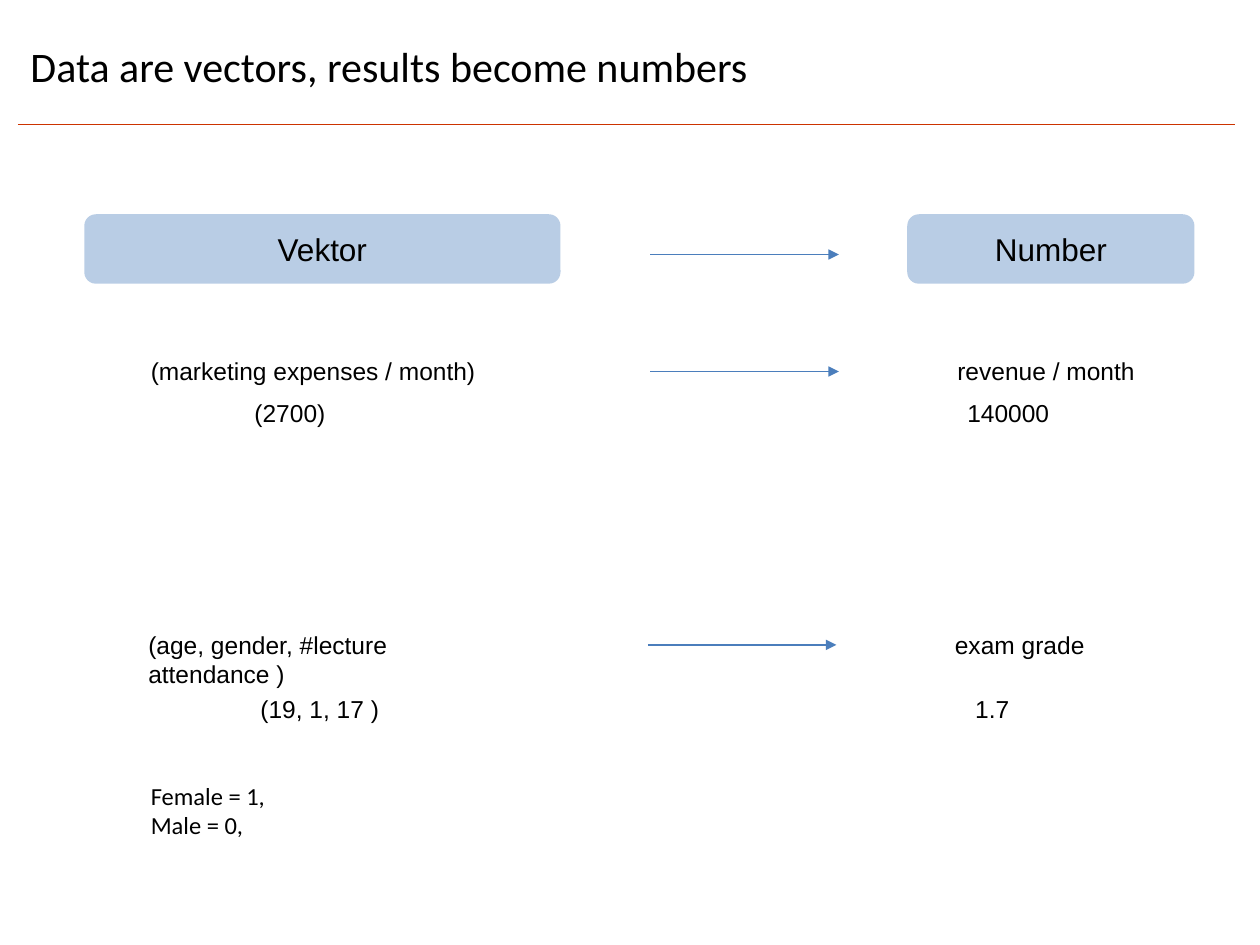
from lxml import etree
from pptx import Presentation
from pptx.dml.color import RGBColor
from pptx.enum.shapes import MSO_CONNECTOR, MSO_SHAPE
from pptx.enum.text import MSO_ANCHOR, PP_ALIGN
from pptx.oxml.ns import qn
from pptx.util import Cm, Pt

STRAIGHT = MSO_CONNECTOR.STRAIGHT
ROUNDED = MSO_SHAPE.ROUNDED_RECTANGLE
MIDDLE, TOP = MSO_ANCHOR.MIDDLE, MSO_ANCHOR.TOP
LEFT, CENTER = PP_ALIGN.LEFT, PP_ALIGN.CENTER

BLACK, RED, BLUE, PALE_BLUE = "000000", "CC3300", "4B7EBC", "B9CDE5"
ARROW_LENGTH = 3.8
LABEL_HEIGHT = 0.86


def color(value):
    return RGBColor.from_string(value)


def write(shape, lines, size, font="Arial", align=LEFT, anchor=TOP):
    frame = shape.text_frame
    frame.vertical_anchor = anchor
    frame.text = "\n".join(lines)
    font_format = {"name": font, "size": Pt(size), "bold": False}
    for paragraph in frame.paragraphs:
        paragraph.alignment = align
        for name, value in font_format.items():
            setattr(paragraph.font, name, value)
        paragraph.font.color.rgb = color(BLACK)


def add_line(slide, left, top, length, line_color, width, arrow=False):
    line = slide.shapes.add_connector(
        STRAIGHT, Cm(left), Cm(top), Cm(left + length), Cm(top))
    line.line.color.rgb = color(line_color)
    line.line.width = Pt(width)
    if arrow:
        etree.SubElement(line.line._get_or_add_ln(), qn("a:tailEnd"), type="triangle")
    etree.SubElement(line._element.spPr, qn("a:effectLst"))


def add_label(slide, left, top, width, lines, height=LABEL_HEIGHT, font="Arial"):
    label = slide.shapes.add_textbox(Cm(left), Cm(top), Cm(width), Cm(height))
    label.text_frame.word_wrap = False
    write(label, lines, 14, font)


def add_title(slide, left, top, width, height, text):
    title = slide.shapes.title
    box = {"left": left, "top": top, "width": width, "height": height}
    for name, value in box.items():
        setattr(title, name, Cm(value))
    write(title, [text], 24, "Calibri", anchor=MIDDLE)
    # Rule under the title
    add_line(slide, left, top + height, 24.53, RED, 1)


def add_header(slide, left, top, height):
    # Each entry: offset from the left, width, text
    for offset, width, text in ((0, 9.6, "Vektor"), (16.59, 5.79, "Number")):
        box = slide.shapes.add_shape(
            ROUNDED, Cm(left + offset), Cm(top), Cm(width), Cm(height))
        box.shadow.inherit = False
        box.fill.solid()
        box.fill.fore_color.rgb = color(PALE_BLUE)
        box.line.fill.background()
        write(box, [text], 18, align=CENTER, anchor=MIDDLE)
    add_line(slide, left + 11.41, top + 0.81, ARROW_LENGTH, BLUE, 0.75, arrow=True)


def add_example(slide, left, top, value_gap, labels, values):
    # Each entry: offset from the left, width, text
    for row_top, entries in ((top, labels), (top + value_gap, values)):
        for offset, width, text in entries:
            add_label(slide, left + offset, row_top, width, [text])
    add_line(slide, left + 10.32, top + 0.43, ARROW_LENGTH, BLUE, 0.75, arrow=True)


def main():
    presentation = Presentation()
    presentation.slide_width, presentation.slide_height = Cm(25.4), Cm(19.05)
    slide = presentation.slides.add_slide(presentation.slide_layouts[5])

    add_title(slide, 0.36, 0.15, 22.38, 2.36, "Data are vectors, results become numbers")
    add_header(slide, 1.7, 4.32, 1.4)

    # Marketing example
    add_example(
        slide, 2.79, 7.06, 0.84,
        [(0, 7.09, "(marketing expenses / month)"), (16.26, 4.09, "revenue / month")],
        [(2.09, 1.96, "(2700)"), (16.46, 3.35, "140000")])

    # Exam example
    add_example(
        slide, 2.74, 12.57, 1.3,
        [(0, 8.2, "(age, gender, #lecture attendance )"), (16.26, 3.12, "exam grade")],
        [(2.26, 2.92, "(19, 1, 17 )"), (16.67, 1.65, "1.7")])

    # Gender coding
    add_label(slide, 2.79, 15.62, 2.95, ["Female = 1,", "Male = 0,"], 1.45, "Calibri")

    presentation.save("out.pptx")


if __name__ == "__main__":
    main()
